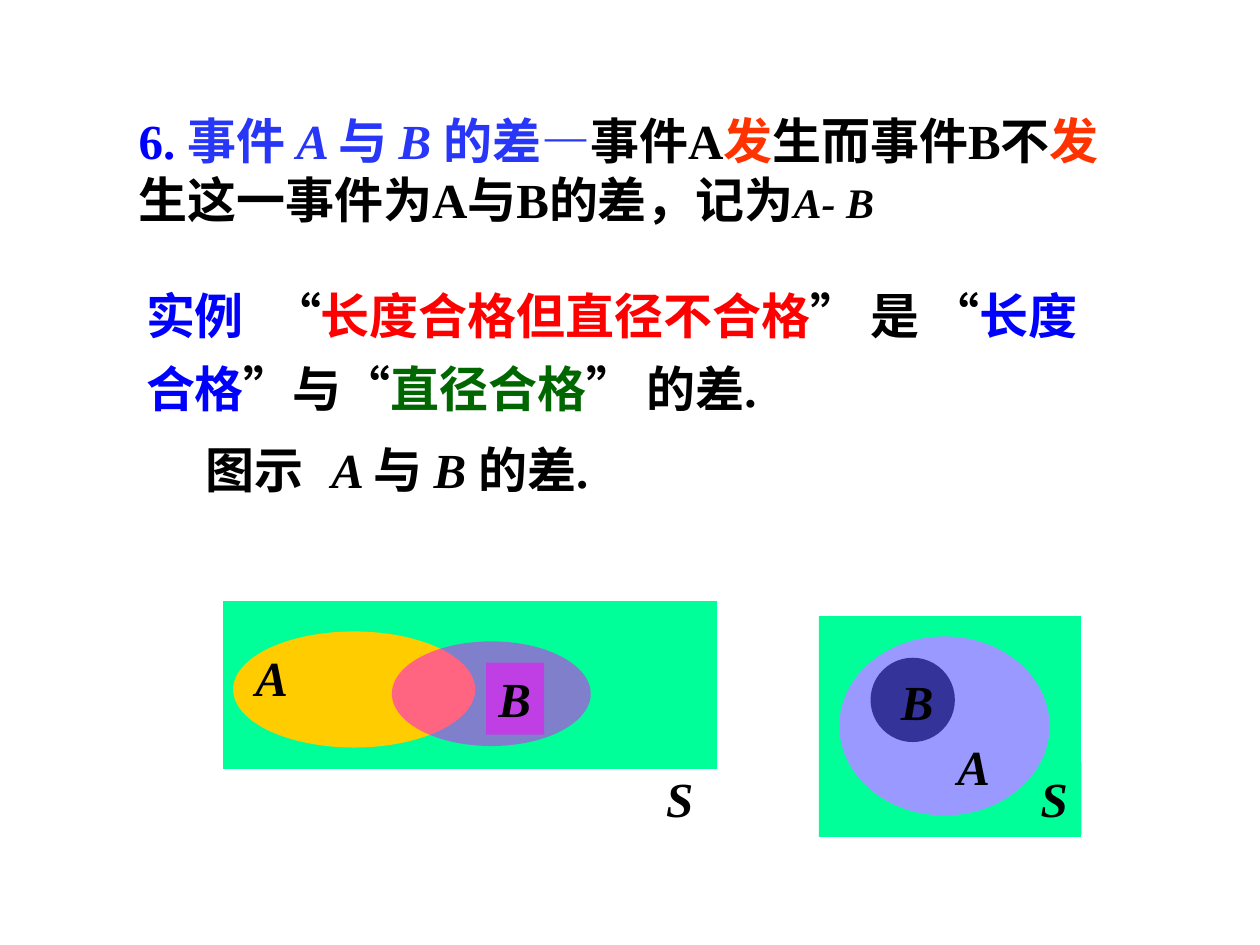
from lxml.etree import SubElement
from pptx import Presentation
from pptx.dml.color import RGBColor
from pptx.enum.shapes import MSO_SHAPE
from pptx.enum.text import MSO_ANCHOR, MSO_AUTO_SIZE, PP_ALIGN
from pptx.oxml.ns import qn
from pptx.util import Cm, Pt

SERIF, SANS = "Times New Roman", "Noto Sans CJK SC"
BLACK, BLUE, INDIGO, ORANGE = "000000", "0000FF", "2736F7", "FF3300"
RED, GREEN, MINT, MAGENTA = "FF0000", "006600", "00FF99", "FF00FF"
BASE = {"size": Pt(28), "bold": True, "italic": False, "name": SERIF}
ITALIC = {"italic": True}
CJK = {"name": SANS}

DEFINITION = [
    [("6. ", BLUE, {}), ("事件 ", INDIGO, CJK), ("A ", INDIGO, ITALIC),
     ("与 ", INDIGO, CJK), ("B ", INDIGO, ITALIC), ("的差", INDIGO, CJK),
     ("—", INDIGO, {}), ("事件A", BLACK, {}), ("发", ORANGE, {}),
     ("生而事件B不", BLACK, {}), ("发", ORANGE, {})],
    [("生这一事件为A与B的差，记为", BLACK, {}),
     ("A- B", BLACK, {"italic": True, "size": Pt(24)})],
]
EXAMPLE = [
    [("实例", BLUE, {}), ("\t“", BLACK, {}), ("长度合格但直径不合格", RED, {}),
     ("” 是 “", BLACK, {}), ("长度合格", BLUE, {}), ("”与“", BLACK, {}),
     ("直径合格", GREEN, {}), ("” 的差.", BLACK, {})],
]
CAPTION = [
    [("图示\t", BLACK, {}), ("A ", BLACK, ITALIC), ("与 ", BLACK, {}),
     ("B ", BLACK, ITALIC), ("的差.", BLACK, {})],
]

RECT, OVAL = MSO_SHAPE.RECTANGLE, MSO_SHAPE.OVAL
LABEL = (1.17, 1.45)
DIAGRAM = [
    (RECT, (4.5, 12.12, 9.96, 3.38), MINT, 100, ""),
    (None, (13.18, 15.37, *LABEL), None, 100, "S"),
    (OVAL, (4.7, 12.73, 4.88, 2.34), "FFCC00", 100, ""),
    (None, (4.9, 12.93, *LABEL), None, 100, "A"),
    (OVAL, (7.9, 12.93, 4.01, 2.11), MAGENTA, 50, ""),
    (RECT, (9.8, 13.36, *LABEL), MAGENTA, 50, "B"),
    (RECT, (16.51, 12.42, 5.28, 4.45), MINT, 100, ""),
    (RECT, (20.73, 15.37, 1.07, 1.45), MINT, 100, "S"),
    (OVAL, (16.92, 12.83, 4.24, 3.61), "9999FF", 100, ""),
    (None, (19.05, 14.73, *LABEL), None, 100, "A"),
    (OVAL, (17.55, 13.26, 1.7, 1.7), "333399", 100, ""),
    (None, (17.91, 13.41, *LABEL), None, 100, "B"),
]


def rgb(value):
    return RGBColor.from_string(value)


def place(s, box):
    s.left, s.top, s.width, s.height = map(Cm, box)


def write(s, paragraphs, wrap=True, spacing=1.0, tab=None):
    tf = s.text_frame
    frame = {"word_wrap": wrap, "auto_size": MSO_AUTO_SIZE.NONE,
             "vertical_anchor": MSO_ANCHOR.TOP}
    for key, value in frame.items():
        setattr(tf, key, value)
    for i, runs in enumerate(paragraphs):
        p = tf.paragraphs[0] if i == 0 else tf.add_paragraph()
        pPr = p._p.get_or_add_pPr()
        pPr.set("marL", "0")
        pPr.set("indent", "0")
        SubElement(pPr, qn("a:buNone"))
        if tab:
            tabs = SubElement(pPr, qn("a:tabLst"))
            SubElement(tabs, qn("a:tab"), pos=str(Cm(tab)), algn="l")
        p.alignment, p.line_spacing, p.space_before = PP_ALIGN.LEFT, spacing, Pt(0)
        for text, color, extra in runs:
            r = p.add_run()
            r.text = text
            for key, value in {**BASE, **extra}.items():
                setattr(r.font, key, value)
            r.font.color.rgb = rgb(color)
            SubElement(r._r.get_or_add_rPr(), qn("a:ea"), typeface=SANS)


def draw(slide, kind, box, color, opacity, label):
    if kind is None:
        s = slide.shapes.add_textbox(*map(Cm, box))
    else:
        s = slide.shapes.add_shape(kind, *map(Cm, box))
        s.shadow.inherit = False
        s.line.fill.background()
        s.fill.solid()
        s.fill.fore_color.rgb = rgb(color)
        if opacity < 100:
            clr = s._element.spPr.find(".//" + qn("a:srgbClr"))
            SubElement(clr, qn("a:alpha"), val=str(opacity * 1000))
    if label:
        write(s, [[(label, BLACK, ITALIC)]], wrap=False)


def main():
    prs = Presentation()
    prs.slide_width, prs.slide_height = Cm(25.4), Cm(19.05)
    slide = prs.slides.add_slide(prs.slide_layouts[1])
    title, body = slide.placeholders
    place(title, (2.54, 2.11, 20.04, 2.62))
    write(title, DEFINITION)
    place(body, (2.69, 5.33, 20.12, 4.75))
    write(body, EXAMPLE, spacing=1.25, tab=2.45)
    caption = slide.shapes.add_textbox(*map(Cm, (3.89, 8.74, 9.73, 1.45)))
    write(caption, CAPTION, tab=2.7)
    for part in DIAGRAM:
        draw(slide, *part)
    prs.save("out.pptx")


if __name__ == "__main__":
    main()
